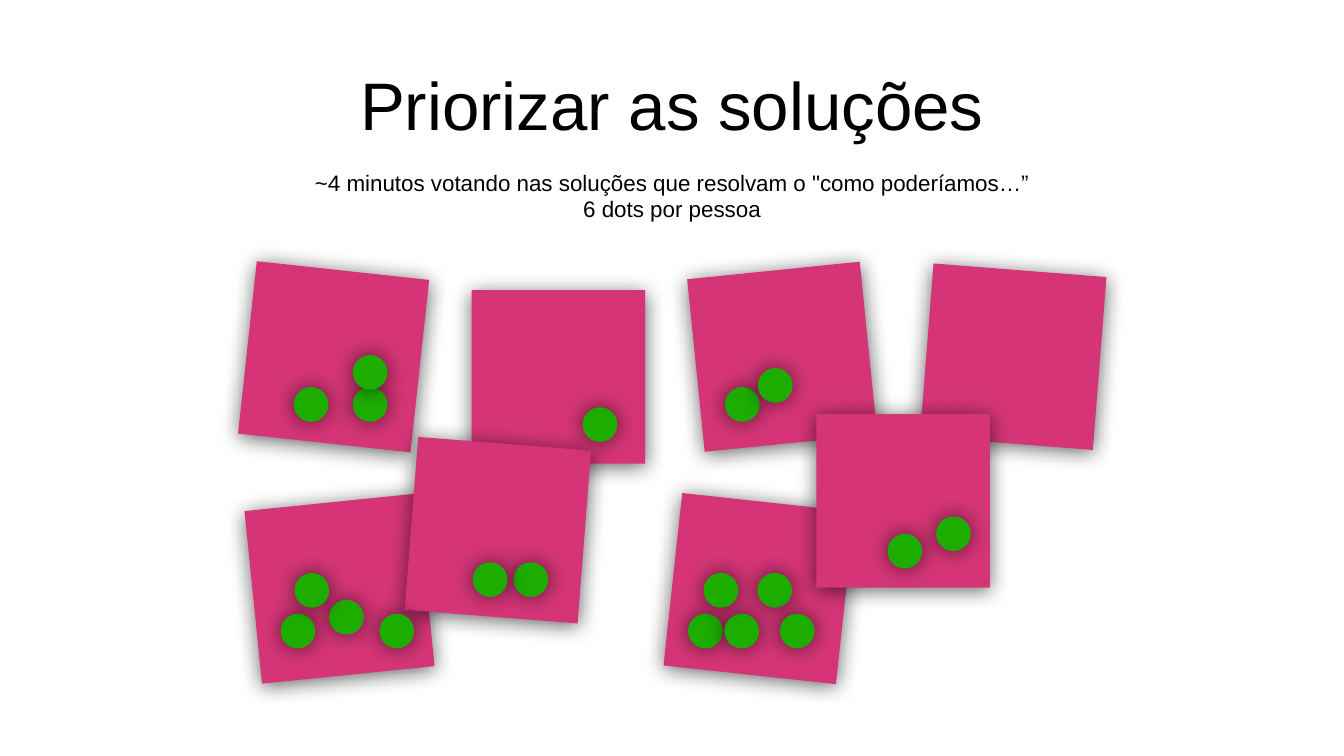
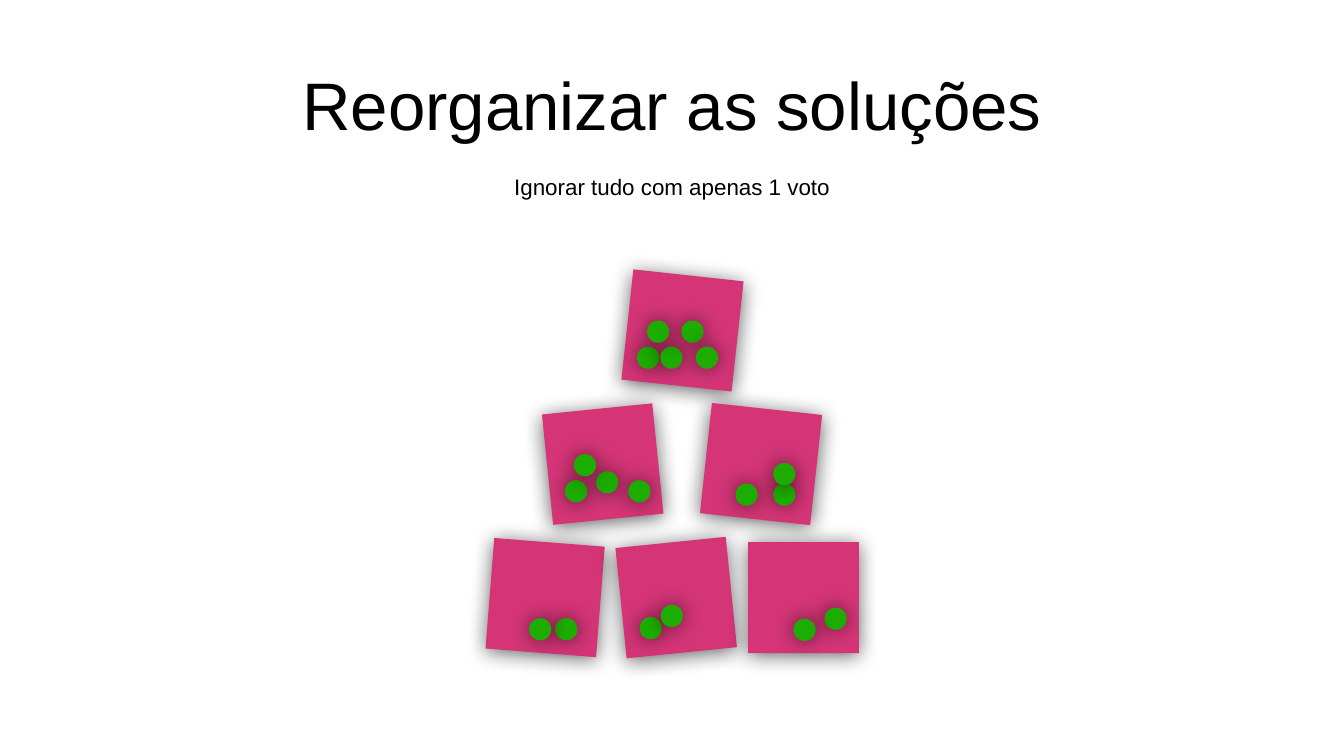
from dataclasses import dataclass

from lxml import etree
from pptx import Presentation
from pptx.dml.color import RGBColor
from pptx.enum.shapes import MSO_SHAPE
from pptx.enum.text import MSO_ANCHOR, MSO_AUTO_SIZE, PP_ALIGN
from pptx.oxml.ns import qn
from pptx.util import Emu, Inches, Pt

SQUARE, CIRCLE = MSO_SHAPE.RECTANGLE, MSO_SHAPE.OVAL
CENTER, MIDDLE = PP_ALIGN.CENTER, MSO_ANCHOR.MIDDLE
TITLE_ONLY = 5
COLUMNS, ROWS = 32, 18  # square cells on a 16:9 slide


@dataclass(frozen=True)
class Theme:
    font: str = "Arial"
    ink: str = "000000"
    paper: str = "FFFFFF"
    note: str = "D53577"
    vote: str = "1DAD01"
    title_size: int = 48
    instruction_size: int = 16
    inset: float = 0.04
    shadow_opacity: int = 60
    shadow_blur: int = 15
    note_drop: int = 2


THEME = Theme()
VOTE_SHARE = 0.2  # vote diameter as a share of the note's side

# Each idea: tilt in degrees, and its votes as shares of the note's side
IDEAS = {
    "three": (6.2, [(0.61, 0.675), (0.61, 0.49), (0.27, 0.675)]),
    "single": (0, [(0.64, 0.675)]),
    "pair_left": (-5.8, [(0.17, 0.675), (0.36, 0.565)]),
    "none": (4.5, []),
    "five": (6.2, [(0.09, 0.645), (0.3, 0.645), (0.18, 0.41),
                   (0.49, 0.41), (0.62, 0.645)]),
    "pair_right": (0, [(0.69, 0.59), (0.41, 0.69)]),
    "four": (-5.8, [(0.16, 0.645), (0.44, 0.565), (0.24, 0.41),
                    (0.73, 0.645)]),
    "pair_low": (4.5, [(0.59, 0.685), (0.355, 0.685)]),
}


def write(frame, text, size, color=THEME.ink, font=THEME.font, align=CENTER):
    """Fill a text frame, one paragraph for each line of text."""
    frame.word_wrap = True
    frame.auto_size = MSO_AUTO_SIZE.NONE
    frame.vertical_anchor = MIDDLE
    frame.margin_left = frame.margin_right = Inches(THEME.inset)
    frame.margin_top = frame.margin_bottom = Inches(THEME.inset)
    frame.text = text
    for paragraph in frame.paragraphs:
        paragraph.alignment = align
        paragraph.font.size = Pt(size)
        paragraph.font.name = font
        paragraph.font.color.rgb = RGBColor.from_string(color)


def add_shadow(shape, distance, direction):
    shape.shadow.inherit = False
    effects = shape._element.spPr.find(qn("a:effectLst"))
    outer = etree.SubElement(
        effects, qn("a:outerShdw"), blurRad=str(Pt(THEME.shadow_blur)),
        dist=str(Pt(distance)), dir=str(direction * 60000), rotWithShape="0")
    color = etree.SubElement(outer, qn("a:srgbClr"), val=THEME.ink)
    etree.SubElement(color, qn("a:alpha"),
                     val=str(THEME.shadow_opacity * 1000))


class Deck:
    def __init__(self):
        self.prs = Presentation()
        self.prs.slide_width, self.prs.slide_height = Inches(13.33), Inches(7.5)
        self.slide = None

    def box(self, column, row, width, height):
        x_unit = self.prs.slide_width / COLUMNS
        y_unit = self.prs.slide_height / ROWS
        return (Emu(round(column * x_unit)), Emu(round(row * y_unit)),
                Emu(round(width * x_unit)), Emu(round(height * y_unit)))

    def centered(self, row, width, height):
        return self.box((COLUMNS - width) / 2, row, width, height)

    def new_slide(self, title):
        self.slide = self.prs.slides.add_slide(
            self.prs.slide_layouts[TITLE_ONLY])
        fill = self.slide.background.fill
        fill.solid()
        fill.fore_color.rgb = RGBColor.from_string(THEME.paper)
        heading = self.slide.shapes.title
        (heading.left, heading.top,
         heading.width, heading.height) = self.centered(0.48, 26.6, 3.98)
        write(heading.text_frame, title, THEME.title_size)

    def instruction(self, text, row, width, height):
        label = self.slide.shapes.add_textbox(
            *self.centered(row, width, height))
        write(label.text_frame, text, THEME.instruction_size)

    def piece(self, kind, column, row, side, color, drop=0, direction=0):
        shape = self.slide.shapes.add_shape(
            kind, *self.box(column, row, side, side))
        shape.fill.solid()
        shape.fill.fore_color.rgb = RGBColor.from_string(color)
        shape.line.fill.background()
        add_shadow(shape, drop, direction)
        return shape

    def board(self, places, side):
        """Lay out all notes first, then the votes on top of them."""
        for idea, column, row in places:
            note = self.piece(SQUARE, column, row, side, THEME.note,
                              drop=THEME.note_drop, direction=90)
            note.rotation = IDEAS[idea][0]
        for idea, column, row in places:
            for across, down in IDEAS[idea][1]:
                self.piece(CIRCLE, column + across * side, row + down * side,
                           VOTE_SHARE * side, THEME.vote)


def main():
    deck = Deck()

    # Voting: scattered notes
    deck.new_slide("Priorizar as soluções")
    deck.instruction(
        '~4 minutos votando nas soluções que resolvam o "como poderíamos…”\n'
        "6 dots por pessoa", row=3.91, width=19.2, height=1.49)
    upper, lower = 6.43, 11.95
    deck.board([
        ("three", 5.88, upper), ("single", 11.23, 6.91),
        ("pair_left", 16.56, upper), ("none", 22.06, upper),
        ("five", 16.01, lower), ("pair_right", 19.44, 9.86),
        ("four", 6.02, lower), ("pair_low", 9.79, 10.56),
    ], side=4.13)

    # Ranking: a pyramid with the most voted idea on top
    deck.new_slide("Reorganizar as soluções")
    deck.instruction("Ignorar tudo com apenas 1 voto",
                     row=4.03, width=8.6, height=0.84)
    pyramid = [
        [("five", 14.93)],
        [("four", 13.03), ("three", 16.8)],
        [("pair_low", 11.66), ("pair_left", 14.78), ("pair_right", 17.81)],
    ]
    top, pitch = 6.55, 3.18
    deck.board([(idea, column, top + level * pitch)
                for level, ideas in enumerate(pyramid)
                for idea, column in ideas], side=2.64)

    deck.prs.save("out.pptx")


if __name__ == "__main__":
    main()
